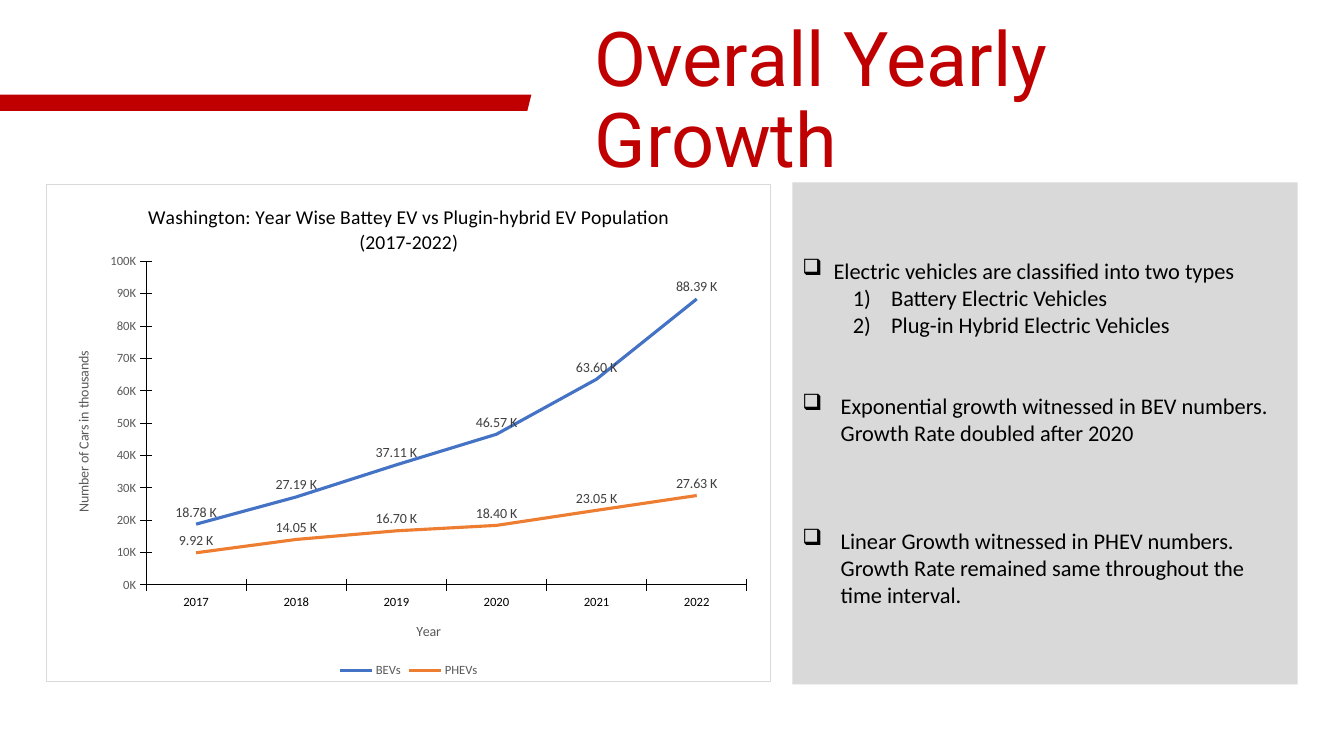
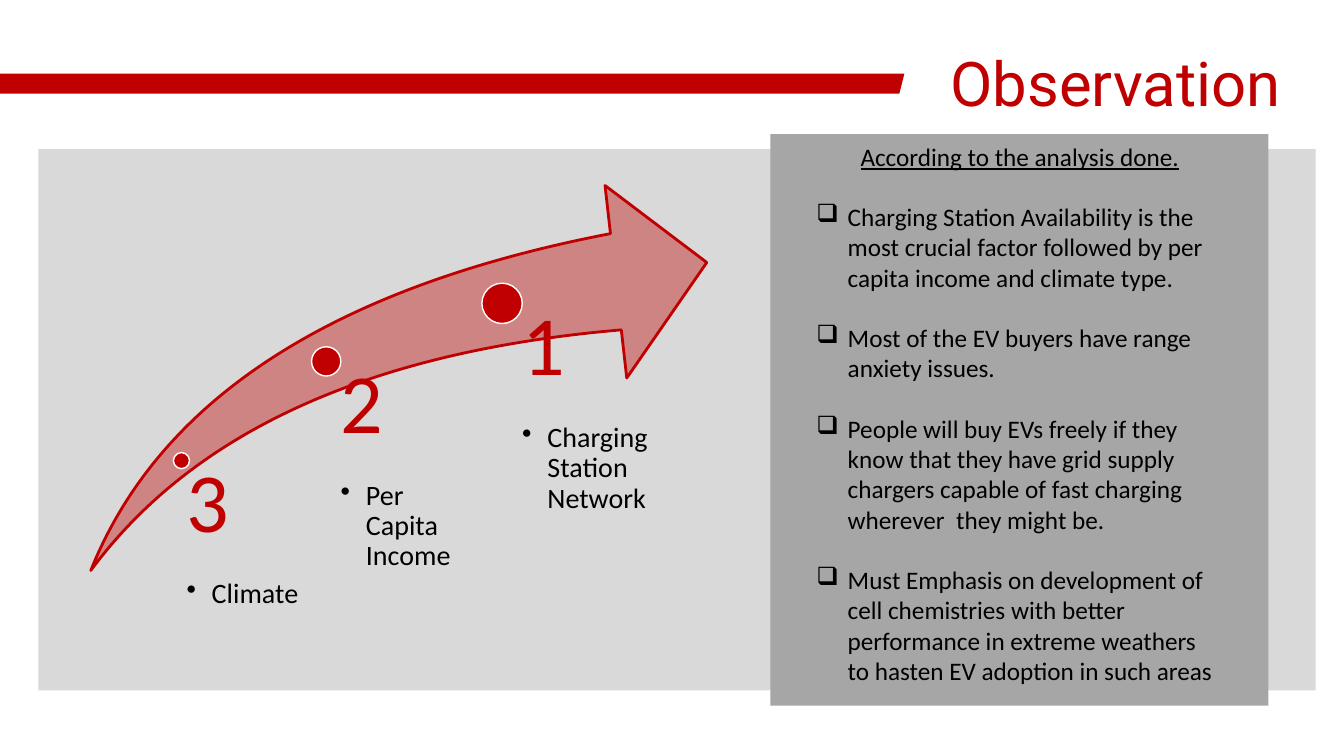
from lxml.etree import SubElement
from pptx import Presentation
from pptx.chart.data import CategoryChartData
from pptx.dml.color import RGBColor
from pptx.enum.chart import XL_CHART_TYPE as ChartType, XL_LABEL_POSITION as LabelPosition
from pptx.enum.chart import XL_LEGEND_POSITION as LegendPosition, XL_TICK_MARK as TickMark
from pptx.enum.shapes import MSO_SHAPE as Shape
from pptx.enum.text import MSO_ANCHOR as Anchor, PP_ALIGN as Align
from pptx.oxml import parse_xml
from pptx.oxml.ns import nsdecls, qn
from pptx.util import Inches, Pt

COLORS = {
    "red": "C00000", "light": "D9D9D9", "gray": "A6A6A6", "black": "000000", "white": "FFFFFF",
    "muted": "595959", "label": "404040", "blue": "4472C4", "orange": "ED7D31",
}
RGB = {name: RGBColor.from_string(value) for name, value in COLORS.items()}
BODY, HEADING = "Calibri", "Roboto"
BOX = ("buChar", "char", "❑")
DOT = ("buChar", "char", "•")
NUMBER = ("buAutoNum", "type", "arabicParenR")


def add_shape(slide, kind, box, fill, line=None, line_width=1):
    shape = slide.shapes.add_shape(kind, *map(Inches, box))
    shape.shadow.inherit = False
    shape.fill.solid()
    shape.fill.fore_color.rgb = RGB[fill]
    if line:
        shape.line.color.rgb = RGB[line]
        shape.line.width = Pt(line_width)
    else:
        shape.line.fill.background()
    return shape


def add_text(slide, box, lines, margins=(0.1, 0.05, 0.1, 0.05), font=BODY, spacing=1):
    shape = slide.shapes.add_textbox(*map(Inches, box))
    frame = shape.text_frame
    frame.word_wrap = True
    frame.margin_left, frame.margin_top, frame.margin_right, frame.margin_bottom = map(Inches, margins)
    for index, (text, size, color, bullet, left, hanging, after) in enumerate(lines):
        paragraph = frame.add_paragraph() if index else frame.paragraphs[0]
        paragraph.text = text
        if bullet:
            tag, attribute, value = bullet
            properties = paragraph._p.get_or_add_pPr()
            properties.set("marL", str(Inches(left)))
            properties.set("indent", str(-Inches(hanging)))
            SubElement(properties, qn(f"a:{tag}")).set(attribute, value)
        paragraph.font.name = font
        paragraph.font.size = Pt(size)
        paragraph.font.color.rgb = RGB[color]
        paragraph.line_spacing = spacing
        paragraph.space_after = Pt(after)
    return frame


presentation = Presentation()
presentation.slide_width = Inches(13.33)
presentation.slide_height = Inches(7.5)

headers = [
    ("Overall Yearly Growth", 54, (5.8, 0.49, 7.25, 1.05), (-1.98, 0.94, 7.25, 0.16)),
    ("Observation", 44, (9.33, 0.13, 3.9, 1.45), (-0.17, 0.73, 9.14, 0.2)),
]
slides = []
for title, size, title_box, band_box in headers:
    slide = presentation.slides.add_slide(presentation.slide_layouts[6])
    add_shape(slide, Shape.PARALLELOGRAM, band_box, "red")
    frame = add_text(slide, title_box, [(title, size, "red", None, 0, 0, 0)], font=HEADING, spacing=0.9)
    frame.vertical_anchor = Anchor.MIDDLE
    slides.append(slide)
growth, observation = slides

add_shape(growth, Shape.RECTANGLE, (7.86, 1.81, 5.01, 4.98), "light")
add_text(growth, (7.86, 2.5, 5.01, 3.6), [
    ("Electric vehicles are classified into two types", 16, "black", BOX, 0.31, 0.31, 0),
    ("Battery Electric Vehicles", 16, "black", NUMBER, 0.88, 0.38, 0),
    ("Plug-in Hybrid Electric Vehicles", 16, "black", NUMBER, 0.88, 0.38, 39),
    ("Exponential growth witnessed in BEV numbers. Growth Rate doubled after 2020",
     16, "black", BOX, 0.38, 0.38, 58),
    ("Linear Growth witnessed in PHEV numbers. Growth Rate remained same throughout the time interval.",
     16, "black", BOX, 0.38, 0.38, 0),
])

data = CategoryChartData()
data.categories = ["2017", "2018", "2019", "2020", "2021", "2022"]
data.add_series("BEVs", (18780, 27190, 37110, 46570, 63600, 88390))
data.add_series("PHEVs", (9920, 14050, 16700, 18400, 23050, 27630))
chart_box = map(Inches, (0.46, 1.83, 7.19, 4.94))
chart = growth.shapes.add_chart(ChartType.LINE, *chart_box, data).chart
chart.font.name = BODY
chart.font.size = Pt(10)
chart.font.color.rgb = RGB["black"]

category_axis, value_axis = chart.category_axis, chart.value_axis
value_axis.maximum_scale = 100000
value_axis.minimum_scale = 0
value_axis.major_unit = 10000
value_axis.has_major_gridlines = False
value_axis.tick_labels.number_format = '0,"K"'
value_axis.tick_labels.number_format_is_linked = False
for axis, color in ((category_axis, "black"), (value_axis, "muted")):
    axis.major_tick_mark = TickMark.CROSS
    axis.format.line.color.rgb = RGB["black"]
    axis.format.line.width = Pt(0.75)
    axis.tick_labels.font.name = BODY
    axis.tick_labels.font.size = Pt(9)
    axis.tick_labels.font.color.rgb = RGB[color]

chart_titles = [
    (chart, "Washington: Year Wise Battey EV vs Plugin-hybrid EV Population (2017-2022)", 14, "black"),
    (category_axis, "Year", 10, "muted"),
    (value_axis, "Number of Cars in thousands", 10, "muted"),
]
for owner, text, size, color in chart_titles:
    title = owner.chart_title if owner is chart else owner.axis_title
    title.text_frame.text = text
    font = title.text_frame.paragraphs[0].font
    font.name = BODY
    font.size = Pt(size)
    font.bold = False
    font.color.rgb = RGB[color]

chart.has_legend = True
chart.legend.position = LegendPosition.BOTTOM
chart.legend.include_in_layout = False
chart.legend.font.name = BODY
chart.legend.font.size = Pt(9)
chart.legend.font.color.rgb = RGB["muted"]

for series, color in zip(chart.plots[0].series, ("blue", "orange")):
    series.smooth = False
    series.format.line.color.rgb = RGB[color]
    series.format.line.width = Pt(2.25)
    labels = series.data_labels
    labels.show_value = True
    labels.position = LabelPosition.ABOVE
    labels.number_format = '0.00," K"'
    labels.number_format_is_linked = False
    labels.font.name = BODY
    labels.font.size = Pt(10)
    labels.font.color.rgb = RGB["label"]

plot_area = chart.element.find(".//" + qn("c:plotArea"))
for layout in plot_area.findall(qn("c:layout")):
    plot_area.remove(layout)
plot_area.insert(0, parse_xml(
    f'<c:layout {nsdecls("c")}><c:manualLayout><c:layoutTarget val="inner"/>'
    '<c:xMode val="edge"/><c:yMode val="edge"/><c:x val="0.137"/><c:y val="0.154"/>'
    '<c:w val="0.83"/><c:h val="0.651"/></c:manualLayout></c:layout>'))
chart.element.find(qn("c:txPr")).addprevious(parse_xml(
    f'<c:spPr {nsdecls("c", "a")}><a:solidFill><a:srgbClr val="{COLORS["white"]}"/></a:solidFill>'
    f'<a:ln w="{Pt(0.75)}"><a:solidFill><a:srgbClr val="{COLORS["light"]}"/></a:solidFill></a:ln></c:spPr>'))

add_shape(observation, Shape.RECTANGLE, (0.38, 1.48, 12.67, 5.37), "light")
arrow = add_shape(observation, Shape.SWOOSH_ARROW, (0.9, 1.84, 6.11, 3.82), "red", "red", 2)
arrow.adjustments[0] = 0.25
arrow.adjustments[1] = 0.25
arrow_color = arrow.element.spPr.find(qn("a:solidFill")).find(qn("a:srgbClr"))
SubElement(arrow_color, qn("a:alpha")).set("val", "39000")

factors = [
    ("3", "Climate", 1.72, 4.49, 0.16, (1.77, 4.56, 1.42, 1.1), 0.08),
    ("2", "Per Capita Income", 3.09, 3.44, 0.29, (3.23, 3.58, 1.47, 2.08), 0.15),
    ("1", "Charging Station Network", 4.78, 2.81, 0.4, (4.97, 3.01, 1.47, 2.65), 0.21),
]
for rank, factor, left, top, diameter, text_box, margin in factors:
    add_shape(observation, Shape.OVAL, (left, top, diameter, diameter), "red", "white")
    add_text(observation, text_box, [
        (rank, 60, "red", None, 0, 0, 21),
        (factor, 20, "black", DOT, 0.25, 0.25, 0),
    ], margins=(margin, 0, 0, 0), spacing=0.9)

add_shape(observation, Shape.RECTANGLE, (7.64, 1.33, 4.94, 5.67), "gray")
findings = [
    "Charging Station Availability is the most crucial factor followed by per capita income and climate type.",
    "Most of the EV buyers have range anxiety issues.",
    "People will buy EVs freely if they know that they have grid supply chargers capable of fast charging "
    "wherever  they might be.",
    "Must Emphasis on development of cell chemistries with better performance in extreme weathers to hasten "
    "EV adoption in such areas",
]
frame = add_text(
    observation, (8, 1.35, 4.23, 5.6),
    [("According to the analysis done.", 18, "black", None, 0, 0, 21.6)]
    + [(finding, 18, "black", BOX, 0.31, 0.31, 21.6) for finding in findings])
frame.paragraphs[0].alignment = Align.CENTER
frame.paragraphs[0].font.underline = True

presentation.save("out.pptx")
